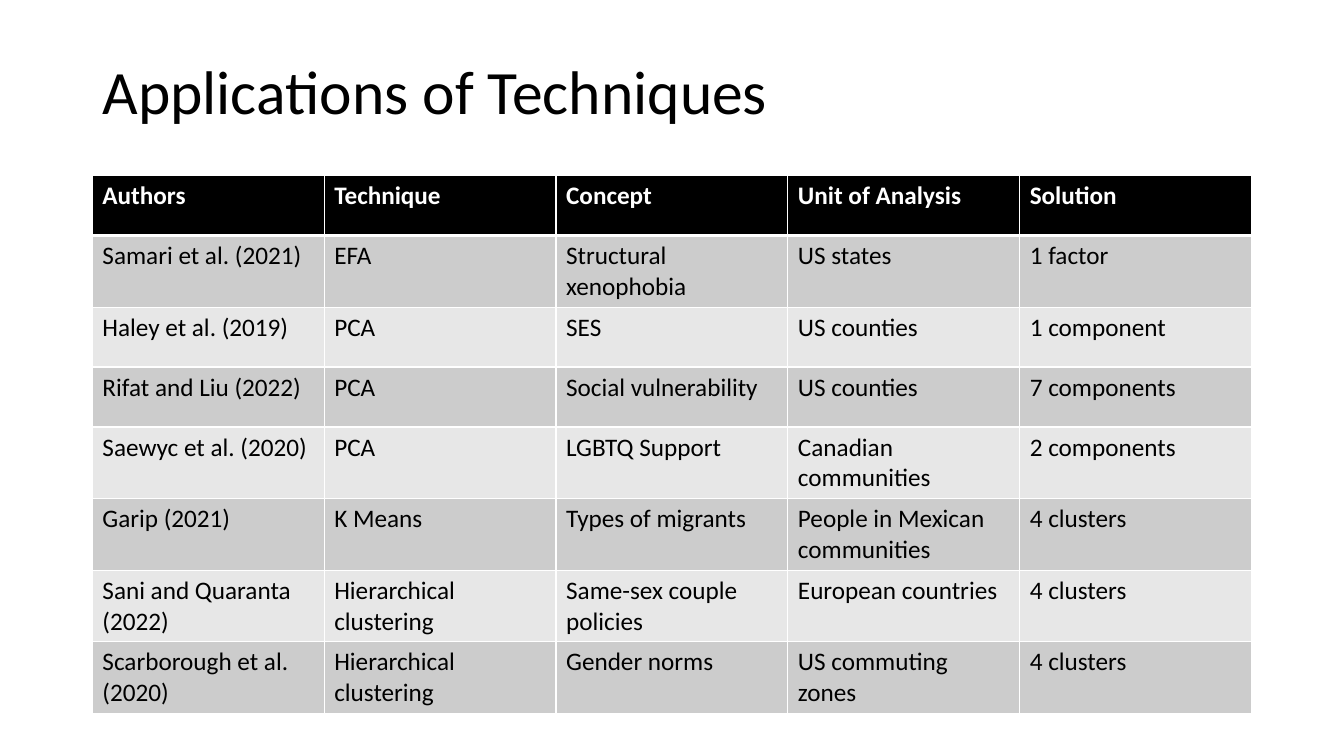
from pptx import Presentation
from pptx.dml.color import RGBColor
from pptx.enum.text import MSO_ANCHOR, PP_ALIGN
from pptx.util import Pt
from lxml import etree
from pptx.oxml.ns import qn

MIDDLE, LEFT = MSO_ANCHOR.MIDDLE, PP_ALIGN.LEFT
THEME = {
    "font": "Calibri", "title": 44, "cell": 18,
    "black": "000000", "white": "FFFFFF", "dark": "CCCCCC", "light": "E7E7E7",
}
X, WIDTH = 66, 828
TALL, SHORT = 48.24, 42.8


def write(frame, text, size, color="black", bold=False, line=1.0):
    para = frame.paragraphs[0]
    para.alignment, para.line_spacing = LEFT, line
    run = para.add_run()
    run.text = text
    font = run.font
    font.name, font.size, font.bold = THEME["font"], Pt(THEME[size]), bold
    font.color.rgb = RGBColor.from_string(THEME[color])


def border(cell, widths):
    props = cell._tc.get_or_add_tcPr()
    for place, (side, width) in enumerate(widths.items()):
        edge = etree.Element(qn("a:ln" + side), w=str(Pt(width)))
        fill = etree.SubElement(edge, qn("a:solidFill"))
        etree.SubElement(fill, qn("a:srgbClr"), val=THEME["white"])
        props.insert(place, edge)


deck = Presentation()
deck.slide_width, deck.slide_height = Pt(960), Pt(540)
slide = deck.slides.add_slide(deck.slide_layouts[5])

# Title
title = slide.shapes.title
title.left, title.top, title.width, title.height = Pt(X), Pt(15), Pt(WIDTH), Pt(104.4)
title.text_frame.vertical_anchor = MIDDLE
title.text_frame.word_wrap = True
write(title.text_frame, "Applications of Techniques", "title", line=0.9)

# Table of studies
studies = [
    ("Authors", "Technique", "Concept", "Unit of Analysis", "Solution"),
    ("Samari et al. (2021)", "EFA", "Structural xenophobia", "US states", "1 factor"),
    ("Haley et al. (2019)", "PCA", "SES", "US counties", "1 component"),
    ("Rifat and Liu (2022)", "PCA", "Social vulnerability", "US counties", "7 components"),
    ("Saewyc et al. (2020)", "PCA", "LGBTQ Support", "Canadian communities",
     "2 components"),
    ("Garip (2021)", "K Means", "Types of migrants", "People in Mexican communities",
     "4 clusters"),
    ("Sani and Quaranta (2022)", "Hierarchical clustering", "Same-sex couple policies",
     "European countries", "4 clusters"),
    ("Scarborough et al. (2020)", "Hierarchical clustering", "Gender norms",
     "US commuting zones", "4 clusters"),
]
heights = [SHORT, TALL, SHORT, SHORT] + [TALL] * 4
count = len(studies[0])
table = slide.shapes.add_table(
    len(studies), count, Pt(X), Pt(125.5), Pt(WIDTH), Pt(sum(heights))).table
for column in table.columns:
    column.width = Pt(WIDTH / count)

for row, (study, height) in enumerate(zip(studies, heights)):
    table.rows[row].height = Pt(height)
    head = row == 0
    shade = "black" if head else "dark" if row % 2 else "light"
    for col, text in enumerate(study):
        cell = table.cell(row, col)
        cell.fill.solid()
        cell.fill.fore_color.rgb = RGBColor.from_string(THEME[shade])
        border(cell, {"L": 1, "R": 1, "T": 3 if row == 1 else 1, "B": 3 if head else 1})
        write(cell.text_frame, text, "cell", "white" if head else "black", head)

deck.save("out.pptx")
